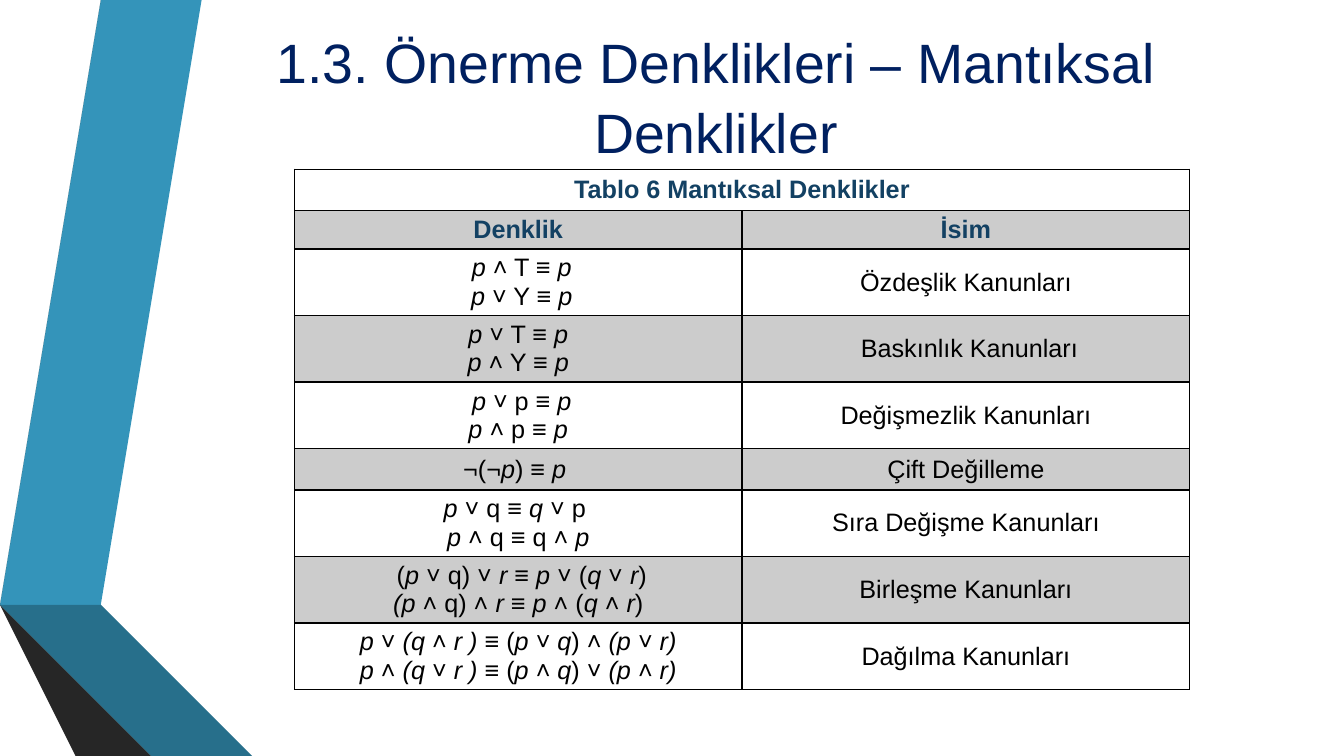
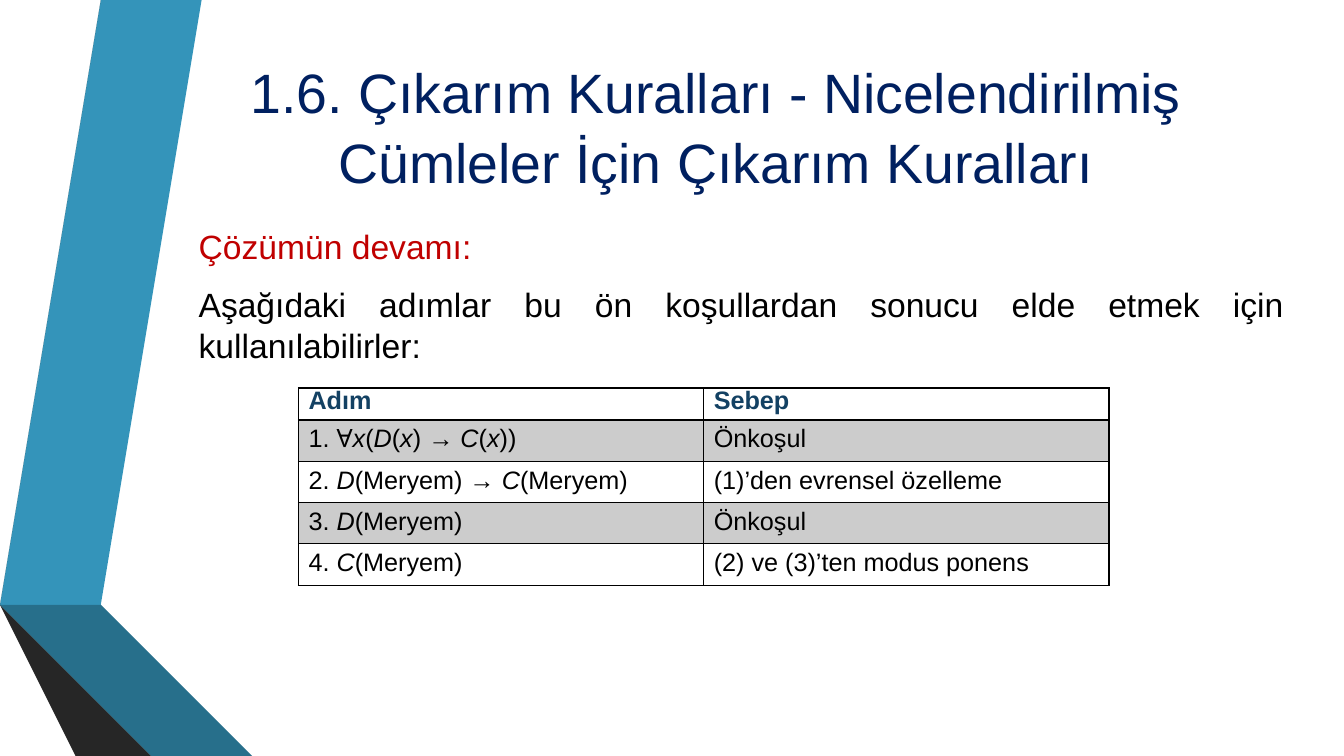
import pptx
import pptx.dml.color
import pptx.enum.text
import pptx.oxml
import pptx.oxml.ns
import pptx.util

Inches = pptx.util.Inches
Pt = pptx.util.Pt
RGBColor = pptx.dml.color.RGBColor
ALIGN = pptx.enum.text.PP_ALIGN
ANCHOR = pptx.enum.text.MSO_ANCHOR

FONT = "Arial"
NAVY = RGBColor(0x00, 0x20, 0x60)
RED = RGBColor(0xC0, 0x00, 0x00)
BLACK = RGBColor(0x00, 0x00, 0x00)
HEADING = RGBColor(0x13, 0x41, 0x63)
SHADE = RGBColor(0xCC, 0xCC, 0xCC)

# Ribbon pieces from back to front: colour and outline in inches
RIBBON = [
    (RGBColor(0x34, 0x94, 0xBA), [(0.5, 5.78), (0.77, 5.83), (1.73, 0), (1.45, 0)]),
    (RGBColor(0x59, 0x59, 0x59), [(1.39, 0), (1.11, 0), (0.16, 5.73), (0.44, 5.77)]),
    (RGBColor(0x26, 0x26, 0x26), [(0.16, 5.73), (1.45, 7.5), (1.51, 7.5)]),
    (RGBColor(0x1A, 0x4A, 0x5D), [(0.5, 5.79), (2.08, 7.5), (2.14, 7.5)]),
    (RGBColor(0x27, 0x6F, 0x8B), [(0.5, 5.78), (2.14, 7.5), (2.83, 7.5), (0.77, 5.83)]),
    (RGBColor(0x40, 0x40, 0x40), [(2.02, 7.5), (0.48, 5.83), (0.43, 5.77), (0.16, 5.73),
                                  (1.51, 7.5)]),
]

# Text between asterisks is italic
EQUIVALENCES = [
    (["Tablo 6 Mantıksal Denklikler"], ""),
    (["Denklik"], "İsim"),
    ([" *p* ˄ T ≡ *p*", " *p *˅ Y ≡ *p*"], "Özdeşlik Kanunları"),
    (["*p* ˅ T ≡ *p*", "*p *˄ Y ≡ *p*"], " Baskınlık Kanunları"),
    ([" *p* ˅ p ≡ *p*", "*p *˄ p ≡ *p*"], "Değişmezlik Kanunları"),
    (["¬(¬*p*) ≡ *p *"], "Çift Değilleme"),
    (["*p* ˅ q ≡ *q* ˅ p ", "*p *˄ q ≡ q ˄ *p*"], "Sıra Değişme Kanunları"),
    ([" (*p* ˅ q) ˅ *r *≡ *p* ˅ (*q* ˅ *r*)", "*(p* ˄ q) ˄ *r *≡ *p* ˄ (*q* ˄ *r*)"],
     "Birleşme Kanunları"),
    (["*p *˅ *(q *˄ *r ) *≡ (*p *˅ *q*) ˄ *(p *˅ *r)*",
      "*p *˄ *(q *˅ *r ) *≡ (*p *˄ *q*) ˅ *(p *˄ *r)*"], "Dağılma Kanunları"),
]
STEPS = [
    (["Adım"], "Sebep"),
    (["1. Ɐ*x*(*D*(*x*) *→ C*(*x*))"], "Önkoşul"),
    (["2. *D*(Meryem) → *C*(Meryem)"], "(1)’den evrensel özelleme"),
    (["3. *D*(Meryem)"], "Önkoşul"),
    (["4. *C*(Meryem)"], "(2) ve (3)’ten modus ponens"),
]


def write(para, text, size=18, color=BLACK, bold=False, align=ALIGN.LEFT, spacing=None):
    """Write text into a paragraph, with *marked* spans in italics."""
    para.alignment = align
    para.line_spacing = spacing
    for index, part in enumerate(text.split("*")):
        if part:
            span = para.add_run()
            span.text = part
            font = span.font
            font.name, font.size, font.bold = FONT, Pt(size), bold
            font.italic = index % 2 == 1
            font.color.rgb = color


def place(shape, left, top, width, height):
    shape.left, shape.top = Inches(left), Inches(top)
    shape.width, shape.height = Inches(width), Inches(height)


def add_ribbon(deck, page):
    """Build the ribbon and move it to the master, so every page shows it."""
    for color, points in RIBBON:
        builder = page.shapes.build_freeform(*points[0], scale=Inches(1))
        builder.add_line_segments(points[1:], close=True)
        piece = builder.convert_to_shape()
        piece.shadow.inherit = False
        piece.fill.solid()
        piece.fill.fore_color.rgb = color
        piece.line.fill.background()
        deck.slide_master.shapes.element.append(piece.element)


def add_title(page, text, top):
    title = page.shapes.title
    place(title, 1.62, top, 10.96, 1.54)
    title.text_frame.vertical_anchor = ANCHOR.MIDDLE
    write(title.text_frame.paragraphs[0], text, size=39.6, color=NAVY,
          align=ALIGN.CENTER, spacing=1.05)


def add_body(page, lines):
    """Fill the body placeholder with justified paragraphs without bullets."""
    body = page.placeholders[1]
    place(body, 1.87, 2.18, 10.96, 1.5)
    frame = body.text_frame
    frame.vertical_anchor = ANCHOR.TOP
    for index, (text, color) in enumerate(lines):
        para = frame.add_paragraph() if index else frame.paragraphs[0]
        properties = para._p.get_or_add_pPr()
        properties.set("marL", "0")
        properties.set("indent", "0")
        properties.append(pptx.oxml.parse_xml(
            f"<a:buNone {pptx.oxml.ns.nsdecls('a')}/>"))
        para.space_before = Pt(4.8 if index else 0)
        para.space_after = Pt(6)
        write(para, text, size=24, color=color, align=ALIGN.JUSTIFY, spacing=1.04)


def style_cell(cell, shaded):
    """Set the fill and a thin black border on all four sides."""
    if shaded:
        cell.fill.solid()
        cell.fill.fore_color.rgb = SHADE
    else:
        cell.fill.background()
    properties = cell._tc.get_or_add_tcPr()
    for index, side in enumerate(("lnL", "lnR", "lnT", "lnB")):
        properties.insert(index, pptx.oxml.parse_xml(
            f"<a:{side} {pptx.oxml.ns.nsdecls('a')} w='{Pt(1)}'><a:solidFill>"
            f"<a:srgbClr val='{BLACK}'/></a:solidFill></a:{side}>"))


def add_grid(page, rows, left, top, column_width, heights, headings=1,
             align=ALIGN.LEFT, anchor=ANCHOR.TOP, heading_spacing=None):
    """Add a two-column table with every second row shaded."""
    grid = page.shapes.add_table(len(rows), 2, Inches(left), Inches(top),
                                 Inches(2 * column_width), Inches(sum(heights))).table
    grid.first_row = grid.horz_banding = False
    for column in grid.columns:
        column.width = Inches(column_width)
    for number, (lines, name) in enumerate(rows):
        grid.rows[number].height = Inches(heights[number])
        heading = number < headings
        for cell, texts in zip(grid.rows[number].cells, (lines, [name])):
            style_cell(cell, shaded=number % 2 == 1)
            cell.vertical_anchor = anchor
            for index, text in enumerate(texts):
                frame = cell.text_frame
                para = frame.add_paragraph() if index else frame.paragraphs[0]
                write(para, text, color=HEADING if heading else BLACK, bold=heading,
                      align=align, spacing=heading_spacing if heading else None)
    return grid


def main():
    deck = pptx.Presentation()
    deck.slide_width, deck.slide_height = Inches(13.33), Inches(7.5)

    # Logical equivalences
    page = deck.slides.add_slide(deck.slide_layouts[5])
    add_ribbon(deck, page)
    add_title(page, "1.3. Önerme Denklikleri – Mantıksal Denklikler", top=0.17)
    heights = [0.41, 0.38] + [0.66 if len(lines) == 2 else 0.41
                              for lines, name in EQUIVALENCES[2:]]
    grid = add_grid(page, EQUIVALENCES, 2.92, 1.68, 4.44, heights, headings=2,
                    align=ALIGN.CENTER, anchor=ANCHOR.MIDDLE)
    grid.cell(0, 0).merge(grid.cell(0, 1))

    # Rules of inference
    page = deck.slides.add_slide(deck.slide_layouts[1])
    add_title(page, "1.6. Çıkarım Kuralları - Nicelendirilmiş Cümleler İçin Çıkarım Kuralları",
              top=0.47)
    add_body(page, [
        ("Çözümün devamı:", RED),
        ("Aşağıdaki adımlar bu ön koşullardan sonucu elde etmek için kullanılabilirler:",
         BLACK),
    ])
    add_grid(page, STEPS, 2.96, 3.85, 4.02, [0.31] + [0.41] * 4,
             heading_spacing=Pt(15.5))

    deck.save("out.pptx")


if __name__ == "__main__":
    main()
